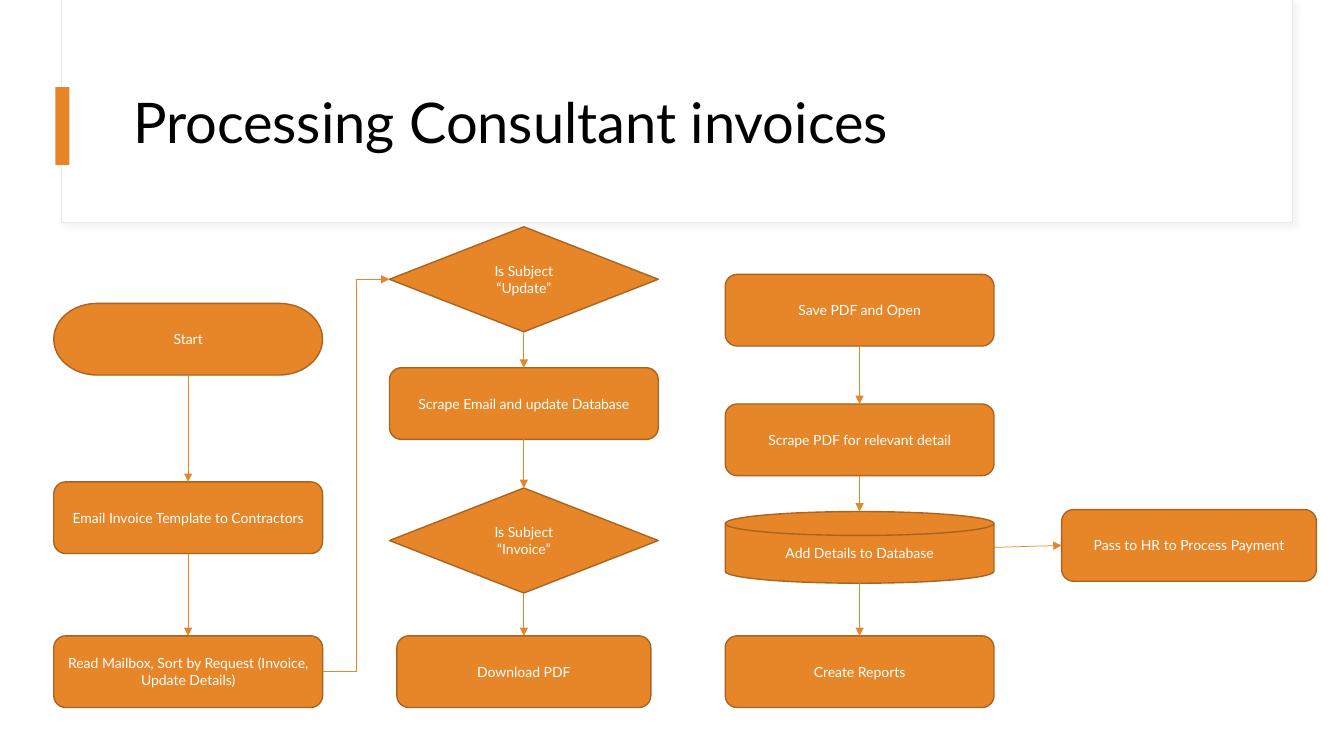
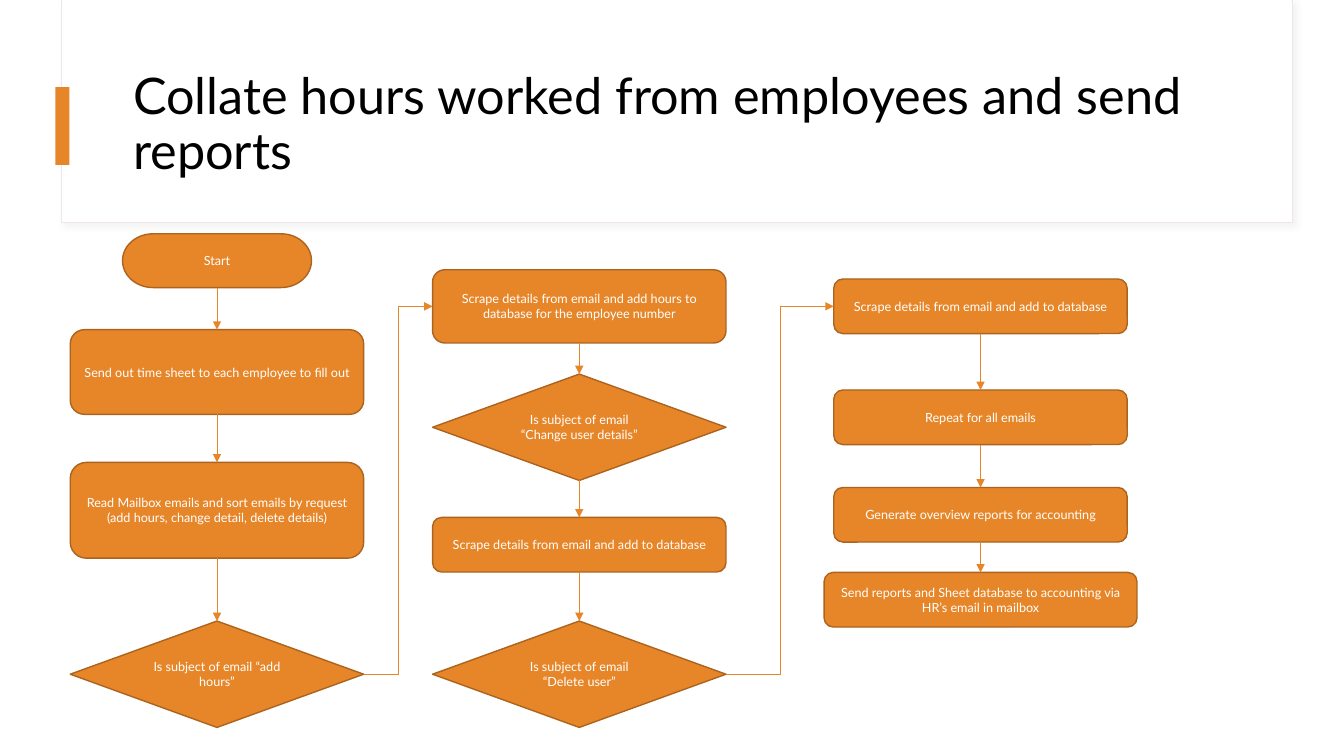
from lxml.etree import SubElement
from pptx import Presentation
from pptx.dml.color import RGBColor
from pptx.enum.shapes import MSO_CONNECTOR as CXN, MSO_SHAPE as SHAPE
from pptx.enum.text import MSO_ANCHOR as ANCHOR, PP_ALIGN as ALIGN
from pptx.oxml.ns import qn
from pptx.util import Pt

ORANGE = RGBColor(0xE7, 0x86, 0x29)
BROWN = RGBColor(0xAB, 0x63, 0x1E)
PINK = RGBColor(0xF0, 0xE5, 0xEF)
WHITE = RGBColor(0xFF, 0xFF, 0xFF)
BLACK = RGBColor(0x00, 0x00, 0x00)
SHADOW = RGBColor(0xD9, 0xD9, 0xD9)
FONT = "Lato"

TERMINATOR = SHAPE.FLOWCHART_TERMINATOR
PROCESS = SHAPE.FLOWCHART_ALTERNATE_PROCESS
DECISION = SHAPE.FLOWCHART_DECISION
DISK = SHAPE.FLOWCHART_MAGNETIC_DISK
TOP, LEFT, BOTTOM, RIGHT = range(4)

INVOICE_COLUMNS = [
    (134.4, 192, [
        (TERMINATOR, 216.7, 51.2, "Start"),
        (PROCESS, 344.2, 51.2, "Email Invoice Template to Contractors"),
        (PROCESS, 454.2, 51.2, "Read Mailbox, Sort by Request (Invoice, Update Details)"),
    ]),
    (374.2, 192, [
        (DECISION, 162, 75, "Is Subject “Update”"),
        (PROCESS, 262.7, 51.2, "Scrape Email and update Database"),
        (DECISION, 348.6, 75, "Is Subject “Invoice”"),
        (PROCESS, 454.2, 51.2, "Download PDF", 181.4),
    ]),
    (614, 192, [
        (PROCESS, 196, 51.2, "Save PDF and Open"),
        (PROCESS, 288.6, 51.2, "Scrape PDF for relevant detail"),
        (DISK, 365.4, 51.2, "Add Details to Database"),
        (PROCESS, 454.2, 51.2, "Create Reports"),
    ]),
    (849.3, 182, [
        (PROCESS, 364, 51.2, "Pass to HR to Process Payment"),
    ]),
]

HOURS_COLUMNS = [
    (155, 209.6, [
        (TERMINATOR, 167, 38.4, "Start", 135),
        (PROCESS, 235.5, 60.5, "Send out time sheet to each employee to fill out"),
        (PROCESS, 330.3, 68.4, "Read Mailbox emails and sort emails by request "
                               "(add hours, change detail, delete details)"),
        (DECISION, 443.6, 76, "Is subject of email “add hours”"),
    ]),
    (413.8, 209.6, [
        (PROCESS, 192.7, 52.3, "Scrape details from email and add hours to database "
                               "for the employee number"),
        (DECISION, 267.2, 76, "Is subject of email “Change user details”"),
        (PROCESS, 369.6, 39, "Scrape details from email and add to database"),
        (DECISION, 443.6, 76, "Is subject of email “Delete user”"),
    ]),
    (700.4, 209.6, [
        (PROCESS, 199.3, 39, "Scrape details from email and add to database"),
        (PROCESS, 278.6, 39, "Repeat for all emails"),
        (PROCESS, 348.2, 39, "Generate overview reports for accounting"),
        (PROCESS, 408.9, 39, "Send reports and Sheet database to accounting via "
                             "HR’s email in mailbox", 223.5),
    ]),
]


def set_all(target, values):
    for name, value in values.items():
        setattr(target, name, value)


def add_box(s, kind, box, fill, line=None, width=1):
    sp = s.shapes.add_shape(kind, *map(Pt, box))
    sp.shadow.inherit = False
    sp.fill.solid()
    sp.fill.fore_color.rgb = fill
    if line is None:
        sp.line.fill.background()
    else:
        sp.line.color.rgb = line
        sp.line.width = Pt(width)
    return sp


def write(sp, text, size, color, **paragraph):
    tf = sp.text_frame
    set_all(tf, {"word_wrap": True, "vertical_anchor": ANCHOR.MIDDLE})
    p = tf.paragraphs[0]
    set_all(p, paragraph)
    r = p.add_run()
    r.text = text
    set_all(r.font, {"name": FONT, "size": Pt(size)})
    r.font.color.rgb = color


def add_shadow(sp):
    effects = sp._element.spPr.find(qn("a:effectLst"))
    shadow = SubElement(effects, qn("a:outerShdw"), blurRad=str(Pt(4)),
                        dist=str(Pt(3)), dir="2700000", algn="tl", rotWithShape="0")
    color = SubElement(shadow, qn("a:srgbClr"), val=str(SHADOW))
    SubElement(color, qn("a:alpha"), val="30000")


def add_header(s, title, size):
    frame = add_box(s, SHAPE.RECTANGLE, (44, 0, 879, 159), WHITE, PINK, 0.75)
    add_shadow(frame)
    add_box(s, SHAPE.RECTANGLE, (44.5, 0, 878, 158.5), WHITE)
    add_box(s, SHAPE.RECTANGLE, (39.5, 62.2, 10, 55.6), ORANGE)
    tb = s.shapes.add_textbox(*map(Pt, (88, 43.2, 800.6, 92.9)))
    write(tb, title, size, BLACK, line_spacing=0.9)


def add_node(s, size, center, width, kind, top, height, text, own_width=None):
    width = own_width or width
    sp = add_box(s, kind, (center - width / 2, top, width, height), ORANGE, BROWN)
    write(sp, text, size, WHITE, alignment=ALIGN.CENTER)
    return sp


def add_arrow(s, start, start_side, end, end_side, kind=CXN.STRAIGHT):
    c = s.shapes.add_connector(kind, 0, 0, 0, 0)
    c.begin_connect(start, start_side)
    c.end_connect(end, end_side)
    links = c._element.nvCxnSpPr.cNvCxnSpPr
    for sp, side, link in ((start, start_side, links.stCxn), (end, end_side, links.endCxn)):
        if sp.auto_shape_type == DISK:
            link.set("idx", str(side + 1))
    c.line.color.rgb = ORANGE
    c.line.width = Pt(0.5)
    SubElement(c.line._get_or_add_ln(), qn("a:tailEnd"), type="triangle")
    SubElement(c._element.spPr, qn("a:effectLst"))


def add_columns(s, columns, size):
    flows = [[add_node(s, size, center, width, *node) for node in nodes]
             for center, width, nodes in columns]
    for flow in flows:
        for upper, lower in zip(flow, flow[1:]):
            add_arrow(s, upper, BOTTOM, lower, TOP)
    return flows


def add_turn(s, flow, following):
    add_arrow(s, flow[-1], RIGHT, following[0], LEFT, CXN.ELBOW)


def add_flow_slide(prs, title, title_size, columns, size):
    s = prs.slides.add_slide(prs.slide_layouts[6])
    add_header(s, title, title_size)
    return s, add_columns(s, columns, size)


def main():
    prs = Presentation()
    set_all(prs, {"slide_width": Pt(960), "slide_height": Pt(540)})

    s, (intake, update, reports, payment) = add_flow_slide(
        prs, "Processing Consultant invoices", 40, INVOICE_COLUMNS, 10)
    add_turn(s, intake, update)
    add_arrow(s, reports[2], RIGHT, payment[0], LEFT)

    s, (request, change, delete) = add_flow_slide(
        prs, "Collate hours worked from employees and send reports", 36, HOURS_COLUMNS, 9)
    add_turn(s, request, change)
    add_turn(s, change, delete)

    prs.save("out.pptx")


if __name__ == "__main__":
    main()
